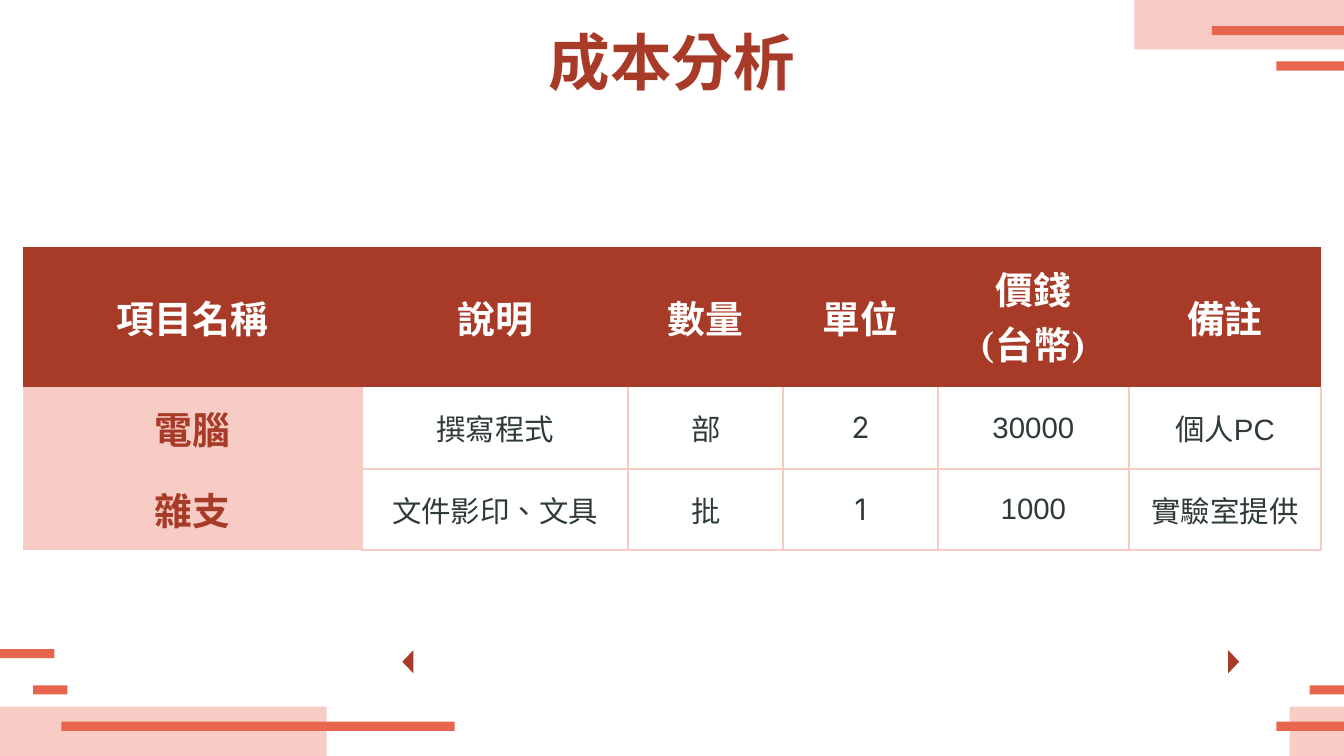
from dataclasses import dataclass

from lxml import etree
from pptx import Presentation, util as u
from pptx.dml.color import RGBColor
from pptx.enum import shapes, text
from pptx.oxml import ns

# Grid: one unit is a hundredth of an inch
COLUMNS, ROWS = 1333, 750
UNIT = u.Inches(0.01)
BLOCK_HEIGHT, BAR_HEIGHT, INSET = 49, 9, 13

RUST = RGBColor(0xA8, 0x3B, 0x28)
CORAL = RGBColor(0xE9, 0x66, 0x4E)
PINK = RGBColor(0xF7, 0xCC, 0xC5)
INK = RGBColor(0x2F, 0x3A, 0x3A)
WHITE = RGBColor(0xFF, 0xFF, 0xFF)
CJK_FONT = "Noto Sans CJK TC"
LANGUAGE = "zh-TW"
PLAIN_TABLE = "{2D5ABB26-0587-4C30-8999-92F81FD0307C}"


@dataclass(frozen=True)
class Box:
    left: int
    top: int
    width: int
    height: int

    def lengths(self) -> list[int]:
        return [UNIT * n for n in (self.left, self.top, self.width, self.height)]


@dataclass(frozen=True)
class Style:
    size: int
    font: str
    color: RGBColor
    bold: bool = False


TITLE = Style(44, CJK_FONT, RUST, True)
HEADER = Style(27, "TeX Gyre Schola", WHITE, True)
ITEM = Style(27, "Inter", RUST, True)
BODY = Style(21, "Inter", INK)
PRICE = Style(21, "Arial", INK)


def right_edge(width: int, top: int, height: int) -> Box:
    return Box(COLUMNS - width, top, width, height)


def draw_shape(kind: shapes.MSO_SHAPE, box: Box, color: RGBColor, rotation: int = 0) -> None:
    shape = slide.shapes.add_shape(kind, *box.lengths())
    shape.rotation = rotation
    shape.shadow.inherit = False
    shape.fill.solid()
    shape.fill.fore_color.rgb = color
    shape.line.fill.background()


def write(frame, words: str, style: Style) -> None:
    frame.word_wrap = True
    frame.text = words
    for paragraph in frame.paragraphs:
        paragraph.alignment = text.PP_ALIGN.CENTER
        font = paragraph.font
        font.size, font.bold, font.name = u.Pt(style.size), style.bold, style.font
        font.color.rgb = style.color
        defaults = paragraph._p.pPr.find(ns.qn("a:defRPr"))
        etree.SubElement(defaults, ns.qn("a:ea"), typeface=CJK_FONT)
        for run in paragraph.runs:
            run.font._element.set("lang", LANGUAGE)


def set_borders(cell, sides: str) -> None:
    properties = cell._tc.get_or_add_tcPr()
    for side in sides:
        line = etree.SubElement(properties, ns.qn(f"a:ln{side}"), w=str(u.Pt(1.5)))
        fill = etree.SubElement(line, ns.qn("a:solidFill"))
        etree.SubElement(fill, ns.qn("a:srgbClr"), val=str(PINK))


def draw_cell(cell, words: str, style: Style, fill: RGBColor | None, borders: str) -> None:
    cell.margin_left = cell.margin_right = UNIT * INSET
    cell.margin_top = cell.margin_bottom = UNIT * INSET
    cell.vertical_anchor = text.MSO_ANCHOR.MIDDLE
    write(cell.text_frame, words, style)
    set_borders(cell, borders)
    if fill is None:
        cell.fill.background()
    else:
        cell.fill.solid()
        cell.fill.fore_color.rgb = fill


presentation = Presentation()
presentation.slide_width, presentation.slide_height = UNIT * COLUMNS, UNIT * ROWS
slide = presentation.slides.add_slide(presentation.slide_layouts[6])

# Corner decoration: pink blocks under coral bars
bottom = ROWS - BLOCK_HEIGHT
blocks = [
    right_edge(208, 0, BLOCK_HEIGHT),
    Box(0, bottom, 324, BLOCK_HEIGHT),
    right_edge(54, bottom, BLOCK_HEIGHT),
]
bars = [right_edge(width, top, BAR_HEIGHT)
        for width, top in ((131, 26), (67, 61), (67, 716), (34, 680))]
bars += [Box(left, top, width, BAR_HEIGHT)
         for left, top, width in ((0, 644, 54), (33, 680, 34), (61, 716, 390))]
for boxes, color in ((blocks, PINK), (bars, CORAL)):
    for box in boxes:
        draw_shape(shapes.MSO_SHAPE.RECTANGLE, box, color)

# Title
title = slide.shapes.add_textbox(*Box(98, 18, 1137, 84).lengths()).text_frame
title.margin_left = title.margin_right = UNIT * INSET
title.margin_top = title.margin_bottom = UNIT * INSET
title.vertical_anchor = text.MSO_ANCHOR.MIDDLE
write(title, "成本分析", TITLE)

# Cost table
costs = [
    ["項目名稱", "說明", "數量", "單位", "價錢\n(台幣)", "備註"],
    ["電腦", "撰寫程式", "部", "2", "30000", "個人PC"],
    ["雜支", "文件影印、文具", "批", "1", "1000", "實驗室提供"],
]
column_widths = [336, 264, 154, 153, 190, 190]
row_heights = [139, 81, 81]
table_box = Box(23, 245, sum(column_widths), sum(row_heights))
table = slide.shapes.add_table(len(costs), len(costs[0]), *table_box.lengths()).table
table.horz_banding = False
table._tbl.tblPr.find(ns.qn("a:tableStyleId")).text = PLAIN_TABLE
for column, width in zip(table.columns, column_widths):
    column.width = UNIT * width
for row, height in zip(table.rows, row_heights):
    row.height = UNIT * height

body_styles = [ITEM, BODY, BODY, BODY, PRICE, PRICE]
body_borders = ["", "LRB", "LRTB"]
for r, row_words in enumerate(costs):
    for c, words in enumerate(row_words):
        if r == 0:
            style, fill, borders = HEADER, RUST, ""
        elif c == 0:
            style, fill, borders = ITEM, PINK, "R"
        else:
            style, fill, borders = body_styles[c], None, body_borders[r]
        draw_cell(table.cell(r, c), words, style, fill, borders)

# Navigation arrows
for left, rotation in ((393, 270), (1212, 90)):
    draw_shape(shapes.MSO_SHAPE.ISOSCELES_TRIANGLE, Box(left, 651, 23, 11), RUST, rotation)

presentation.save("out.pptx")
